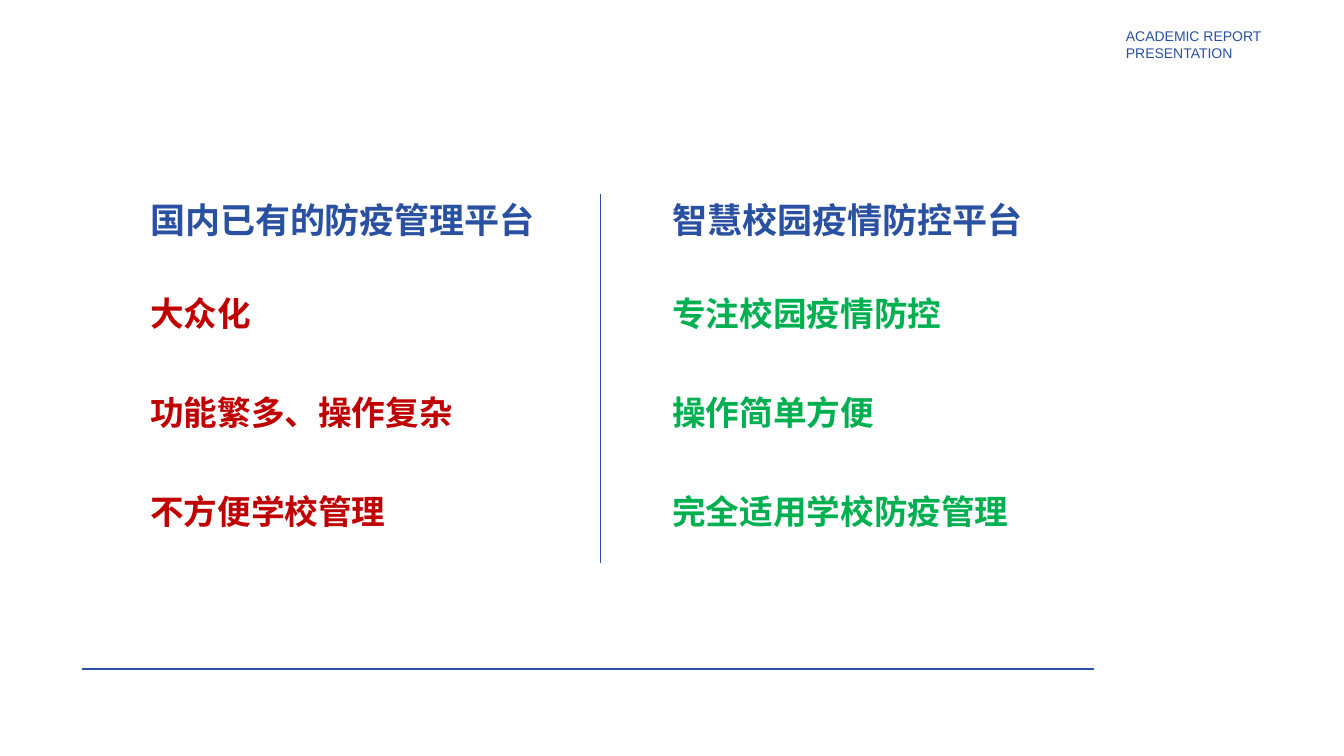
from dataclasses import dataclass

from lxml import etree
from pptx import Presentation
from pptx import util as u
from pptx.dml.color import RGBColor
from pptx.enum import shapes, text
from pptx.oxml.ns import qn

COLORS = {"blue": "2A50A1", "red": "C00000", "green": "00B050"}
FONT = "Arial"

# Positions and sizes are percentages of the slide's width and height.
HEADING_TOP, HEADING_HEIGHT = 26.27, 6.67
POINTS_TOP, POINTS_HEIGHT = 37.47, 37.07

prs = Presentation()
prs.slide_width, prs.slide_height = u.Inches(13.33), u.Inches(7.5)


@dataclass
class Label:
    lines: list[str]
    left: float
    top: float
    width: float
    height: float
    size: float
    color: str
    bold: bool = False
    wrap: bool = False
    line_spacing: float = 1.0
    gap: float = 0


@dataclass
class Column:
    left: float
    heading: str
    heading_width: float
    points: list[str]
    points_width: float
    color: str


@dataclass
class Rule:
    x1: float
    y1: float
    x2: float
    y2: float
    weight: float


COLUMNS = [
    Column(11.18, "国内已有的防疫管理平台", 28.88,
           ["大众化", "功能繁多、操作复杂", "不方便学校管理"], 28.05, "red"),
    Column(50.03, "智慧校园疫情防控平台", 28.35,
           ["专注校园疫情防控", "操作简单方便", "完全适用学校防疫管理"], 33.75, "green"),
]
RULES = [
    Rule(6.08, 88.53, 81.38, 88.53, 1.25),
    Rule(44.7, 25.6, 44.7, 74.53, 0.5),
]
CORNER = Label(["ACADEMIC REPORT", "PRESENTATION"], 83.78, 3.6, 10.2, 4.53, 10, "blue")


def across(share: float) -> int:
    return round(prs.slide_width * share / 100)


def down(share: float) -> int:
    return round(prs.slide_height * share / 100)


def add_label(s, label: Label) -> None:
    sp = s.shapes.add_textbox(across(label.left), down(label.top),
                              across(label.width), down(label.height))
    tf = sp.text_frame
    tf.margin_left = tf.margin_right = tf.margin_top = tf.margin_bottom = 0
    tf.word_wrap = label.wrap
    tf.vertical_anchor = text.MSO_ANCHOR.TOP
    tf.text = "\n".join(label.lines)
    for i, p in enumerate(tf.paragraphs):
        p.line_spacing = label.line_spacing
        if i and label.gap:
            p.space_before = u.Pt(label.gap)
        p.font.name = FONT
        p.font.size = u.Pt(label.size)
        p.font.bold = label.bold
        p.font.color.rgb = RGBColor.from_string(COLORS[label.color])


def add_column(s, col: Column) -> None:
    add_label(s, Label([col.heading], col.left, HEADING_TOP, col.heading_width,
                       HEADING_HEIGHT, 25, "blue", bold=True))
    add_label(s, Label(col.points, col.left, POINTS_TOP, col.points_width,
                       POINTS_HEIGHT, 24, col.color, bold=True, wrap=True,
                       line_spacing=1.25, gap=34.5))


def add_rule(s, rule: Rule) -> None:
    line = s.shapes.add_connector(shapes.MSO_CONNECTOR.STRAIGHT,
                                  across(rule.x1), down(rule.y1),
                                  across(rule.x2), down(rule.y2))
    line.line.color.rgb = RGBColor.from_string(COLORS["blue"])
    line.line.width = u.Pt(rule.weight)
    etree.SubElement(line._element.spPr, qn("a:effectLst"))


def main() -> None:
    s = prs.slides.add_slide(prs.slide_layouts.get_by_name("Blank"))
    add_label(s, CORNER)
    for col in COLUMNS:
        add_column(s, col)
    for rule in RULES:
        add_rule(s, rule)
    prs.save("out.pptx")


if __name__ == "__main__":
    main()
